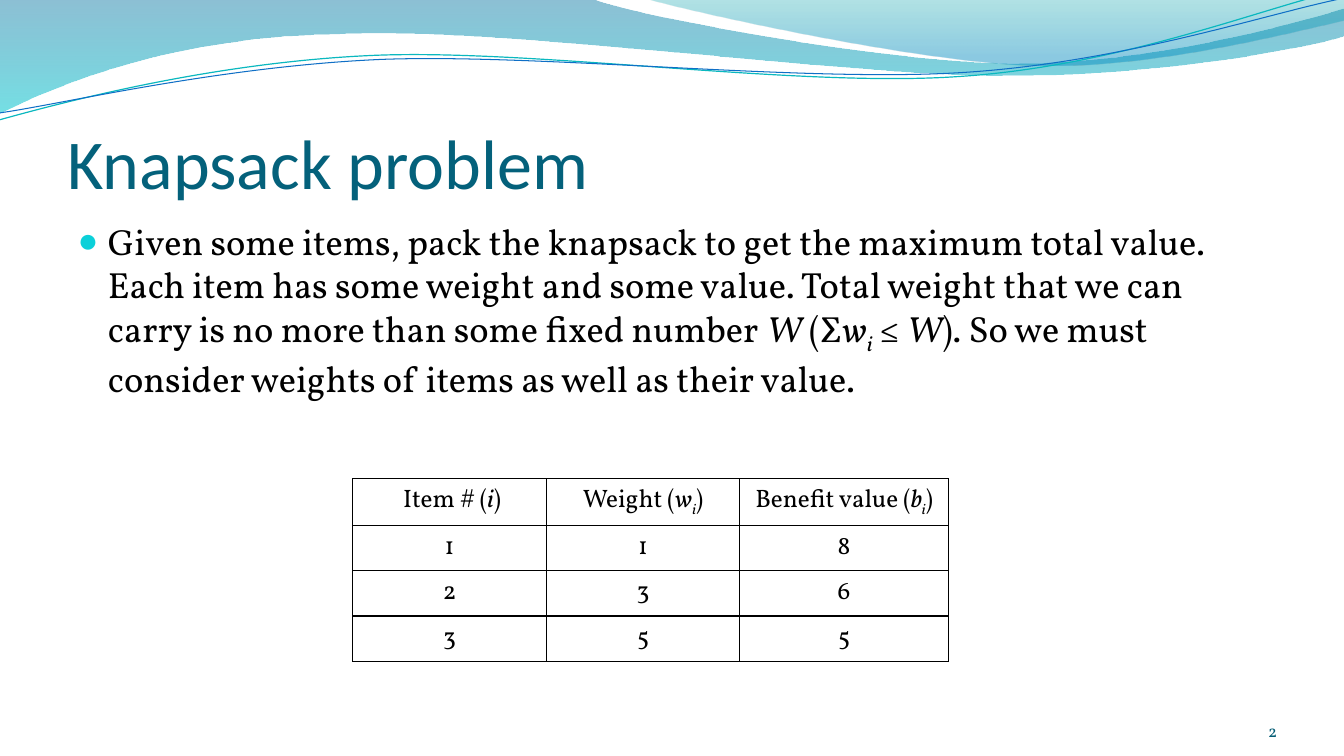
from dataclasses import dataclass

from lxml.etree import SubElement
from pptx import Presentation
from pptx.dml.color import RGBColor
from pptx.enum.text import MSO_ANCHOR as Anchor, MSO_AUTO_SIZE as AutoSize, PP_ALIGN as Align
from pptx.oxml.ns import qn
from pptx.util import Pt

EMU_PER_PX = 9144  # 100 px to the inch
SLIDE_HEIGHT = 750


@dataclass(frozen=True)
class Theme:
    title_font: str = "Calibri"
    body_font: str = "Vollkorn"
    title_size: float = 50
    body_size: float = 26
    table_size: float = 18
    number_size: float = 12
    title: str = "04617B"
    text: str = "000000"
    bullet: str = "0BD0D9"
    number: str = "045D75"
    teal_line: str = "0AB8BF"
    blue_line: str = "0F6FC6"
    # Each stop: position, colour, opacity in percent
    wide_wave: tuple = ((0, "0074A1", 45), (1, "00C6CF", 55))
    right_wave: tuple = ((0, "00A1A9", 30), (0.8, "008BBF", 45))


THEME = Theme()

# A pair is a straight step, six numbers are a cubic curve.
WIDE_WAVE = [
    (0, 0), (587, -1),
    (634, 17, 885, 63, 1011, 63), (1138, 63, 1278, 26, 1333, 9), (1335, 36),
    (1311, 44, 1160, 76, 994, 75), (829, 75, 509, 28, 343, 34),
    (172, 36, 61, 83, -1, 113), (0, 0),
]
RIGHT_WAVE = [
    (639, -1), (679, 11, 909, 62, 1025, 65), (1141, 69, 1282, 32, 1333, 21), (1333, 0),
    (639, -1),
]
TEAL_CURVE = [
    (-1, 119), (64, 101, 211, 62, 369, 55), (527, 48, 790, 87, 950, 76),
    (1110, 66, 1252, 8, 1331, -10),
]
BLUE_CURVE = [
    (0, 112), (63, 103, 218, 66, 378, 59), (537, 53, 796, 82, 955, 72),
    (1115, 62, 1255, 14, 1334, -2),
]

BODY = [
    ("Given some items, pack the knapsack to get the maximum total value. "
     "Each item has some weight and some value. Total weight that we can "
     "carry is no more than some fixed number ", ""),
    ("W", "italic"), (" (Σ", ""), ("w", "italic"), ("i", "sub"), (" ≤ ", ""),
    ("W", "italic"),
    ("). So we must consider weights of items as well as their value.", ""),
]
HEADER = [
    [(" Item # (", ""), ("i", "italic"), (")", "")],
    [("Weight (", ""), ("w", "italic"), ("i", "sub"), (")", "")],
    [("Benefit value (", ""), ("b", "italic"), ("i", "sub"), (")", "")],
]
ITEMS = [(1, 1, 8), (2, 3, 6), (3, 5, 5)]


def px(length):
    return round(length * EMU_PER_PX)


def set_all(target, **values):
    for name, value in values.items():
        setattr(target, name, value)


def place(shape, box):
    set_all(shape, **dict(zip(("left", "top", "width", "height"), map(px, box))))


def write(paragraph, runs, size, color, font=THEME.body_font):
    for text, style in runs:
        run = paragraph.add_run()
        run.text = text
        set_all(run.font, name=font, size=Pt(size), italic=style != "")
        run.font.color.rgb = RGBColor.from_string(color)
        if style == "sub":
            run._r.get_or_add_rPr().set("baseline", "-25000")


def add_outline(slide, steps, close):
    """Lay all points as straight segments, then join each curve's three into one."""
    points = [(px(x), px(y)) for step in steps for x, y in zip(step[::2], step[1::2])]
    builder = slide.shapes.build_freeform(*points[0])
    builder.add_line_segments(points[1:], close=close)
    shape = builder.convert_to_shape()
    shape.shadow.inherit = False
    segments = iter(list(shape.element.iter(qn("a:lnTo"))))
    for step in steps[1:]:
        segment = next(segments)
        if len(step) == 6:
            curve = segment.makeelement(qn("a:cubicBezTo"))
            segment.addprevious(curve)
            for part in (segment, next(segments), next(segments)):
                curve.append(part[0])
                part.getparent().remove(part)
    return shape


def add_wave(slide, steps, stops):
    shape = add_outline(slide, steps, True)
    shape.line.fill.background()
    shape.fill.gradient()
    shape.fill.gradient_angle = 270
    for stop, (position, color, _) in zip(shape.fill.gradient_stops, stops):
        stop.position = position
        stop.color.rgb = RGBColor.from_string(color)
    for color, (_, _, opacity) in zip(shape.element.spPr.iter(qn("a:srgbClr")), stops):
        SubElement(color, qn("a:alpha"), val=str(opacity * 1000))


def add_curve(slide, steps, color, width):
    shape = add_outline(slide, steps, False)
    shape.fill.background()
    shape.line.color.rgb = RGBColor.from_string(color)
    shape.line.width = Pt(width)


def add_banner(slide):
    add_wave(slide, WIDE_WAVE, THEME.wide_wave)
    add_wave(slide, RIGHT_WAVE, THEME.right_wave)
    add_curve(slide, TEAL_CURVE, THEME.teal_line, 0.85)
    add_curve(slide, BLUE_CURVE, THEME.blue_line, 0.75)


def bring_to_front(shape):
    shape.element.getparent().append(shape.element)


def fill_title(title, box):
    place(title, box)
    bring_to_front(title)
    frame = title.text_frame
    set_all(frame, vertical_anchor=Anchor.BOTTOM, auto_size=AutoSize.NONE, word_wrap=True,
            margin_left=0, margin_right=0, margin_top=px(5), margin_bottom=0)
    paragraph = frame.paragraphs[0]
    paragraph.alignment = Align.LEFT
    write(paragraph, [("Knapsack problem", "")], THEME.title_size, THEME.title,
          THEME.title_font)


def fill_body(body, box):
    place(body, box)
    bring_to_front(body)
    set_all(body.text_frame, auto_size=AutoSize.NONE, word_wrap=True)
    paragraph = body.text_frame.paragraphs[0]
    properties = paragraph._p.get_or_add_pPr()
    properties.set("marL", str(px(30)))
    properties.set("indent", str(px(-30)))
    bullet_color = SubElement(properties, qn("a:buClr"))
    SubElement(bullet_color, qn("a:srgbClr"), val=THEME.bullet)
    SubElement(properties, qn("a:buSzPct"), val="95000")
    SubElement(properties, qn("a:buChar"), char="●")
    write(paragraph, BODY, THEME.body_size, THEME.text)


def add_borders(cell):
    properties = cell._tc.get_or_add_tcPr()
    for index, side in enumerate(("lnL", "lnR", "lnT", "lnB")):
        line = SubElement(properties, qn(f"a:{side}"), w=str(Pt(1)))
        fill = SubElement(line, qn("a:solidFill"))
        SubElement(fill, qn("a:srgbClr"), val=THEME.text)
        properties.insert(index, line)


def add_item_table(slide, box, column_widths):
    rows = [HEADER] + [[[(str(value), "")] for value in item] for item in ITEMS]
    table = slide.shapes.add_table(len(rows), len(HEADER), *map(px, box)).table
    set_all(table, first_row=False, horz_banding=False)
    for column, width in zip(table.columns, column_widths):
        column.width = px(width)
    for row, contents in zip(table.rows, rows):
        for cell, runs in zip(row.cells, contents):
            cell.fill.background()
            add_borders(cell)
            paragraph = cell.text_frame.paragraphs[0]
            paragraph.alignment = Align.CENTER
            write(paragraph, runs, THEME.table_size, THEME.text)


def add_slide_number(slide, box):
    frame = slide.shapes.add_textbox(*map(px, box)).text_frame
    set_all(frame, word_wrap=True, vertical_anchor=Anchor.BOTTOM,
            margin_left=0, margin_right=0, margin_top=0, margin_bottom=0)
    frame.paragraphs[0].alignment = Align.RIGHT
    write(frame.paragraphs[0], [("2", "")], THEME.number_size, THEME.number)


def main():
    presentation = Presentation()
    set_all(presentation, slide_width=px(SLIDE_HEIGHT * 16 / 9), slide_height=px(SLIDE_HEIGHT))
    slide = presentation.slides.add_slide(presentation.slide_layouts[1])
    add_banner(slide)
    fill_title(slide.shapes.title, (67, 77, 1200, 125))
    fill_body(slide.placeholders[1], (67, 212, 1200, 480))
    add_item_table(slide, (350, 475, 591, 162), (192, 192, 207))
    add_slide_number(slide, (1156, 695, 111, 40))
    presentation.save("out.pptx")


if __name__ == "__main__":
    main()
